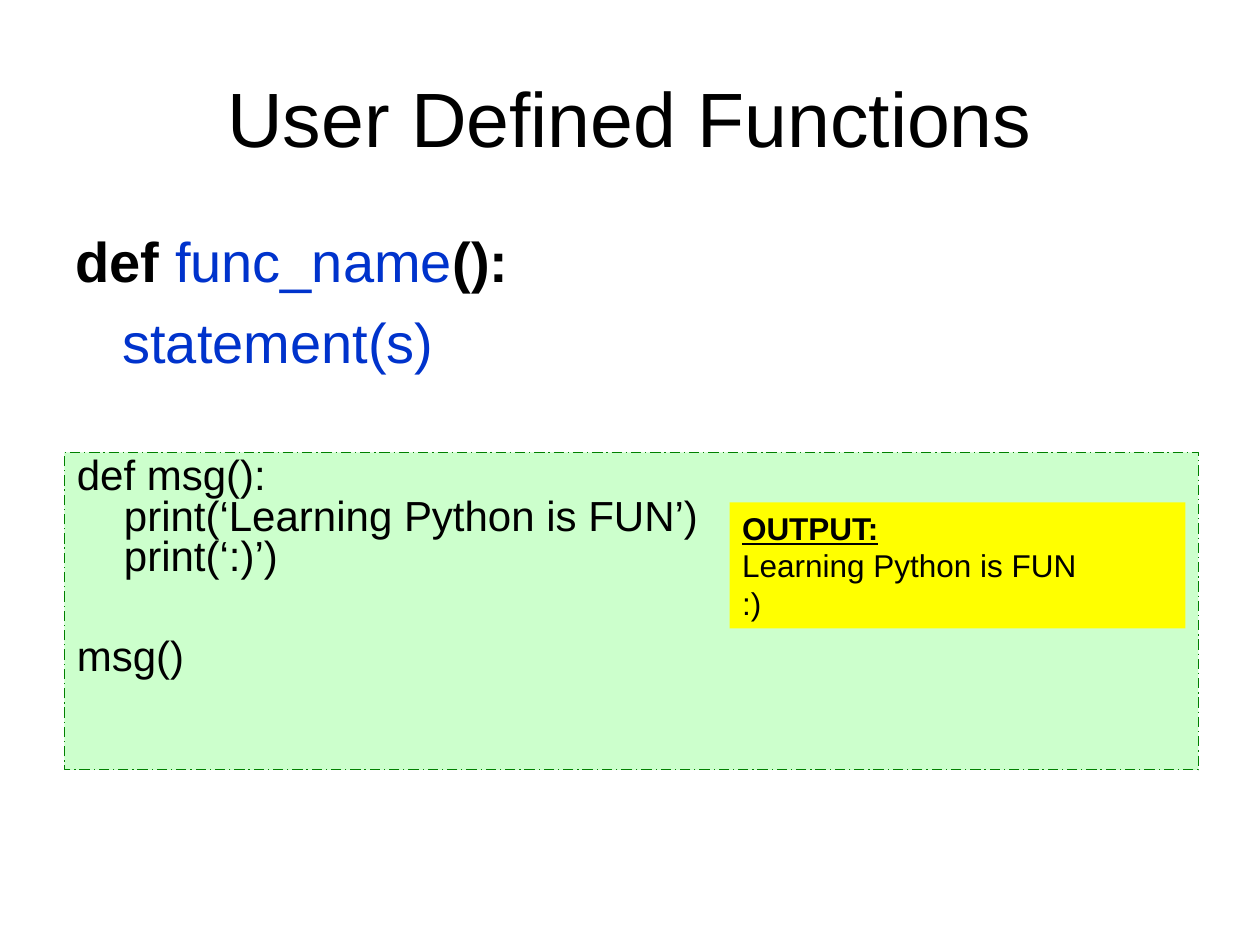
from dataclasses import dataclass

from pptx import Presentation
from pptx.dml.color import RGBColor
from pptx.enum.dml import MSO_LINE
from pptx.enum.shapes import MSO_SHAPE
from pptx.enum.text import MSO_ANCHOR, PP_ALIGN
from pptx.util import Cm, Pt

RECTANGLE = MSO_SHAPE.RECTANGLE
LONG_DASH_DOT = MSO_LINE.LONG_DASH_DOT
TOP, MIDDLE = MSO_ANCHOR.TOP, MSO_ANCHOR.MIDDLE
LEFT, CENTER = PP_ALIGN.LEFT, PP_ALIGN.CENTER

FONT = "Arial"
COLORS = {
    "text": "000000",
    "name": "0033CC",
    "code_fill": "CCFFCC",
    "code_line": "008000",
    "output_fill": "FFFF00",
}
INDENT = Cm(0.95)


@dataclass
class Piece:
    text: str
    color: str = "text"
    bold: bool = False


@dataclass
class Line:
    pieces: list[Piece]
    margin: int = 0
    first_indent: int = 0
    before: float = 0
    spacing: float = 1.0
    bold: bool = False
    underline: bool = False


@dataclass
class Block:
    box: tuple[float, float, float, float]  # left, top, width, height in cm
    size: int
    lines: list[Line]
    fill: str | None = None
    outline: str | None = None
    align: PP_ALIGN = LEFT
    anchor: MSO_ANCHOR = TOP


def rgb(key: str) -> RGBColor:
    return RGBColor.from_string(COLORS[key])


def write_line(paragraph, line: Line, block: Block) -> None:
    paragraph.alignment = block.align
    paragraph.space_before = Pt(line.before)
    paragraph.line_spacing = line.spacing
    properties = paragraph._p.get_or_add_pPr()
    properties.set("marL", str(line.margin))
    properties.set("indent", str(line.first_indent))
    paragraph.font.name = FONT
    paragraph.font.size = Pt(block.size)
    paragraph.font.underline = line.underline
    for piece in line.pieces:
        for number, text in enumerate(piece.text.split("\n")):
            if number:
                paragraph.add_line_break()
            run = paragraph.add_run()
            run.text = text
            run.font.bold = piece.bold or line.bold
            run.font.color.rgb = rgb(piece.color)


def draw_block(slide, block: Block) -> None:
    position = [Cm(length) for length in block.box]
    if block.fill:
        panel = slide.shapes.add_shape(RECTANGLE, *position)
        panel.shadow.inherit = False
        panel.fill.solid()
        panel.fill.fore_color.rgb = rgb(block.fill)
        if block.outline:
            panel.line.color.rgb = rgb(block.outline)
            panel.line.width = Pt(0.75)
            panel.line.dash_style = LONG_DASH_DOT
        else:
            panel.line.fill.background()
    else:
        panel = slide.shapes.add_textbox(*position)
    frame = panel.text_frame
    frame.word_wrap = True
    frame.vertical_anchor = block.anchor
    for number, line in enumerate(block.lines):
        paragraph = frame.add_paragraph() if number else frame.paragraphs[0]
        write_line(paragraph, line, block)


title = Block((1.27, 0.76, 22.86, 3.18), 44,
              [Line([Piece("User Defined Functions")])],
              align=CENTER, anchor=MIDDLE)

syntax = Block((1.27, 4.45, 22.86, 3.89), 32, [
    Line([Piece("def ", bold=True), Piece("func_name", "name"),
          Piece("():", bold=True)], INDENT, -INDENT, before=7.5),
    Line([Piece("statement(s)", "name")], INDENT, before=7.5),
])

example = Block((1.3, 9.12, 22.86, 6.4), 24, [
    Line([Piece("def msg():\nprint(‘Learning Python is FUN’)\nprint(‘:)’)")],
         INDENT, -INDENT, before=5.5, spacing=0.8),
    Line([Piece("msg()")], INDENT, -INDENT, before=34, spacing=0.8),
], fill="code_fill", outline="code_line")

output = Block((14.71, 10.13, 9.19, 2.54), 18, [
    Line([Piece("OUTPUT:")], bold=True, underline=True),
    Line([Piece("Learning Python is FUN")]),
    Line([Piece(":)")]),
], fill="output_fill")

presentation = Presentation()
presentation.slide_width, presentation.slide_height = Cm(25.4), Cm(19.05)
slide = presentation.slides.add_slide(presentation.slide_layouts[6])

# Heading, syntax, then the example with its output on top
for block in (title, syntax, example, output):
    draw_block(slide, block)

presentation.save("out.pptx")
